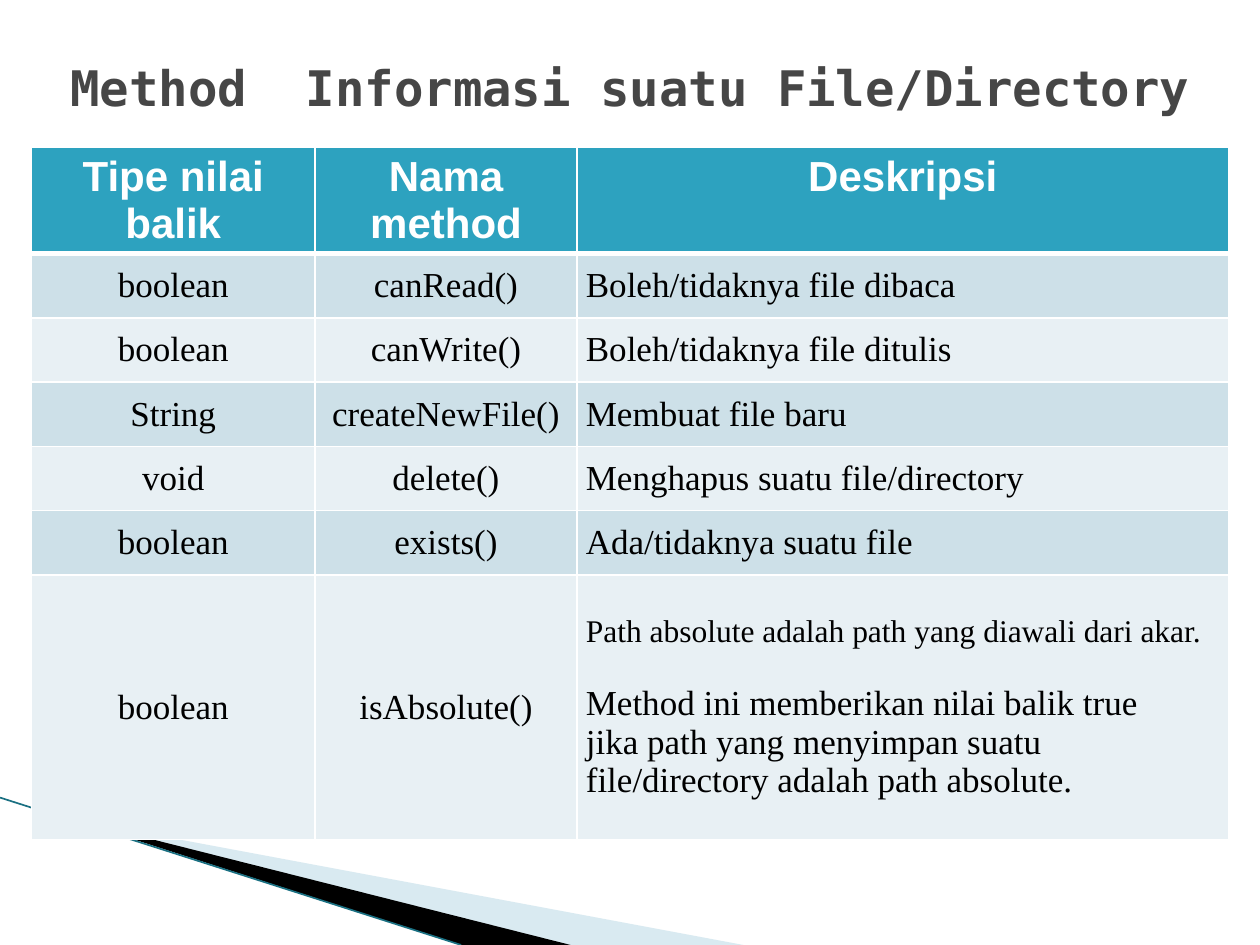
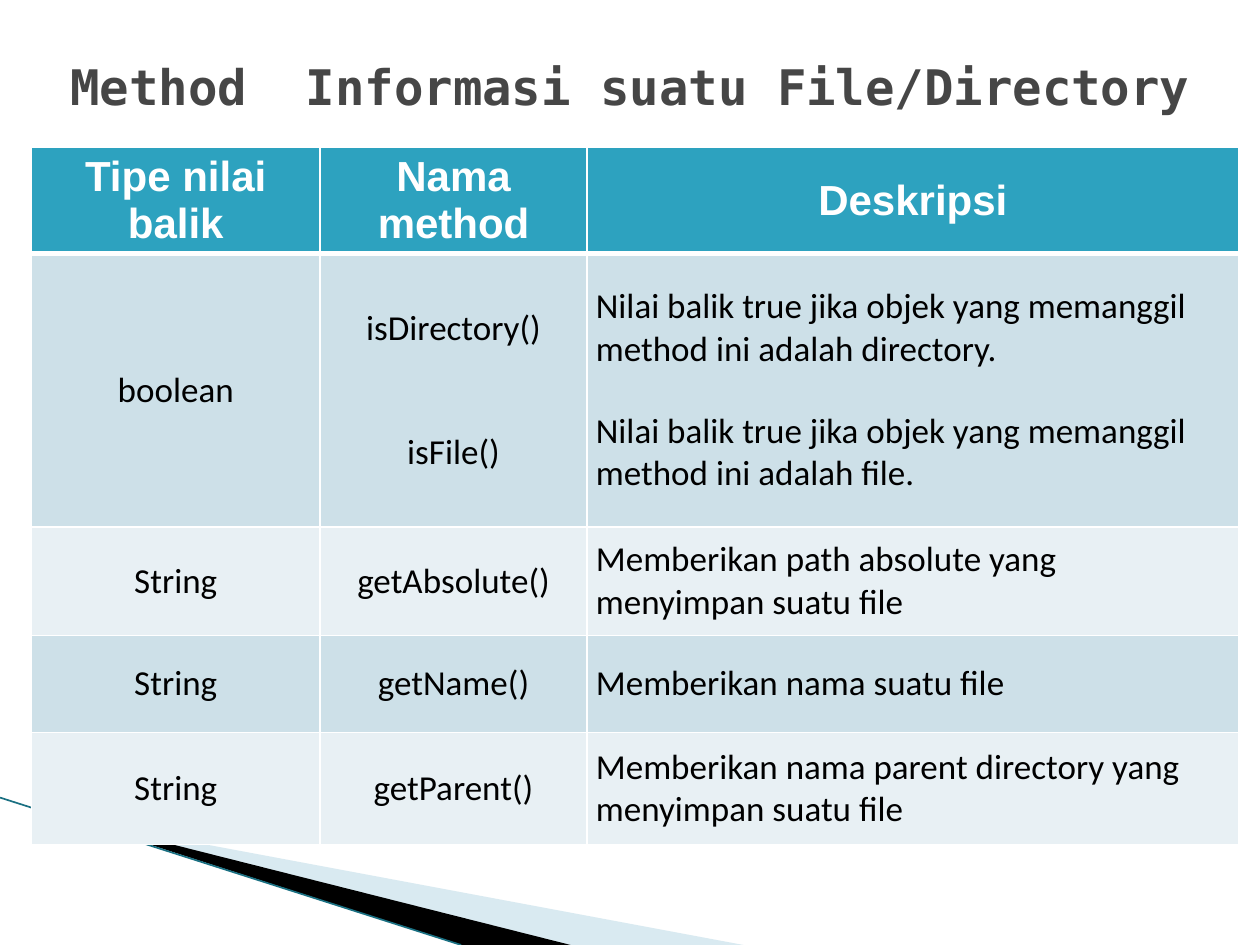
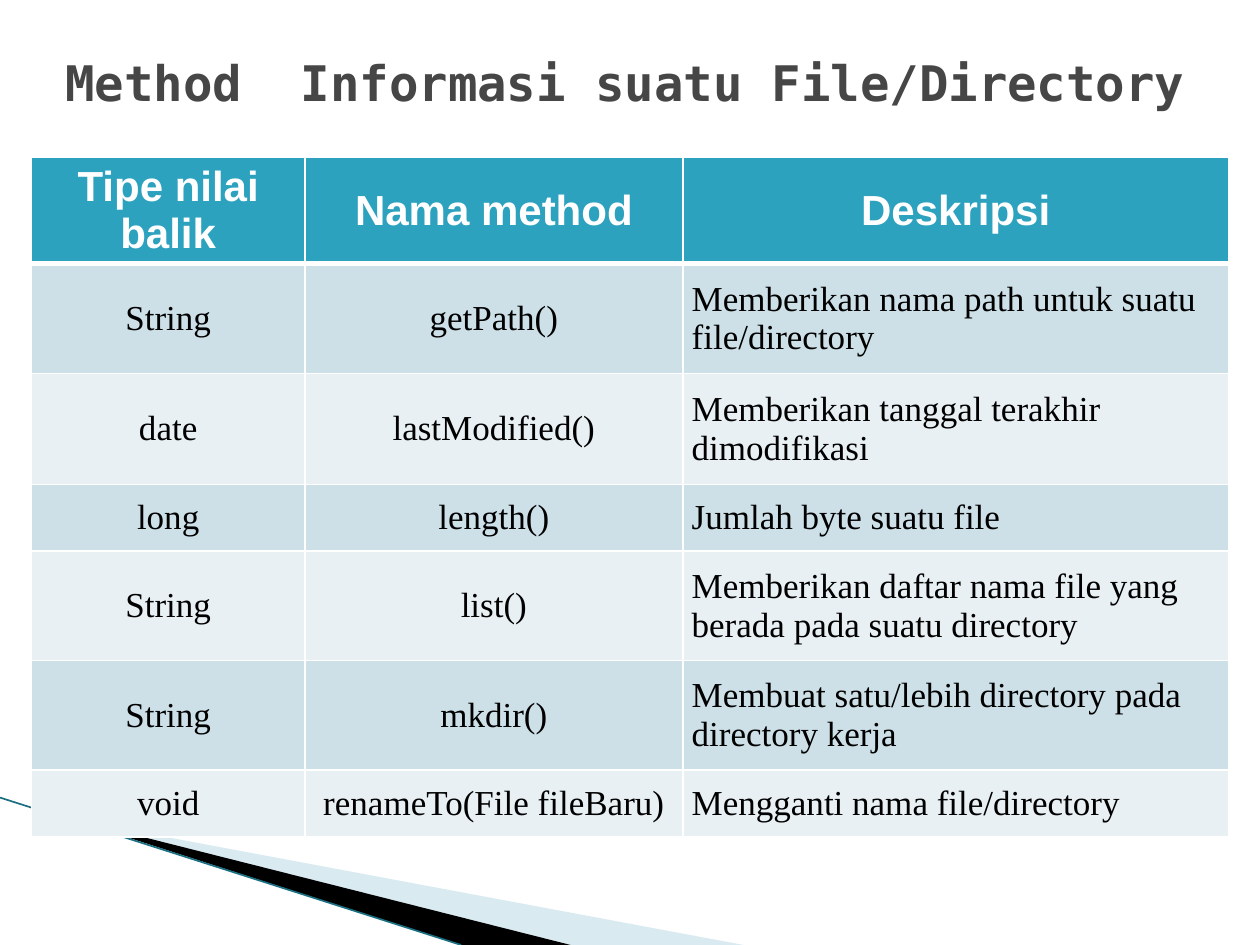
from dataclasses import dataclass

from lxml import etree
from pptx import Presentation
from pptx.dml.color import RGBColor
from pptx.enum.text import MSO_ANCHOR, MSO_AUTO_SIZE, PP_ALIGN
from pptx.enum.shapes import MSO_CONNECTOR
from pptx.oxml import parse_xml
from pptx.oxml.ns import nsdecls, qn
from pptx.util import Inches, Pt


@dataclass(frozen=True)
class Theme:
    title: str = "464646"
    header: str = "2DA2BF"
    white: str = "FFFFFF"
    black: str = "000000"
    stripes: tuple = ("CDE0E8", "E8F0F4")
    pale_band: str = "A0CBDC"
    band_line: str = "1A7082"
    title_font: str = "DejaVu Sans Mono"
    header_font: str = "Arial"
    title_size: int = 28
    header_size: int = 24
    body_size: int = 20
    note_size: int = 18


T = Theme()
TITLE = "Method  Informasi suatu File/Directory"
HEADINGS = ("Tipe nilai balik", "Nama method", "Deskripsi")

# A cell is one text or a list of (text, size, space before) paragraphs.
SLIDES = [
    dict(
        title_box=(0.25, 0.3, 9.5, 0.78), top=1.17, font="Times New Roman",
        header_anchor=MSO_ANCHOR.TOP,
        cols=(2.25, 2.08, 5.17), heights=[0.51] * 6 + [2.1],
        rows=[
            ("boolean", "canRead()", "Boleh/tidaknya file dibaca"),
            ("boolean", "canWrite()", "Boleh/tidaknya file ditulis"),
            ("String", "createNewFile()", "Membuat file baru"),
            ("void", "delete()", "Menghapus suatu file/directory"),
            ("boolean", "exists()", "Ada/tidaknya suatu file"),
            ("boolean", "isAbsolute()", [
                ("Path absolute adalah path yang diawali dari akar.", T.note_size, 0),
                ("Method ini memberikan nilai balik true", T.body_size, 20),
                ("jika path yang menyimpan suatu file/directory adalah path absolute.",
                 T.body_size, 0),
            ]),
        ]),
    dict(
        title_box=(0.25, 0.25, 9.5, 0.87), top=1.17, font="Calibri",
        header_anchor=MSO_ANCHOR.MIDDLE,
        cols=(2.29, 2.12, 5.17), heights=[0.64, 2.17, 0.86, 0.77, 0.89],
        rows=[
            ("boolean",
             [("isDirectory()", T.body_size, 0), ("isFile()", T.body_size, 46)],
             [("Nilai balik true jika objek yang memanggil method ini adalah directory.",
               T.body_size, 0),
              ("Nilai balik true jika objek yang memanggil method ini adalah file.",
               T.body_size, 22)]),
            ("String", "getAbsolute()", "Memberikan path absolute yang menyimpan suatu file"),
            ("String", "getName()", "Memberikan nama suatu file"),
            ("String", "getParent()",
             "Memberikan nama parent directory yang menyimpan suatu file"),
        ]),
    dict(
        title_box=(0.17, 0.3, 9.58, 0.7), top=1.25, font="Times New Roman",
        header_anchor=MSO_ANCHOR.MIDDLE,
        cols=(2.17, 3, 4.33), heights=[0.7, 0.87, 0.88, 0.53, 0.87, 0.87, 0.53],
        rows=[
            ("String", "getPath()", "Memberikan nama path untuk suatu file/directory"),
            ("date", "lastModified()", "Memberikan tanggal terakhir dimodifikasi"),
            ("long", "length()", "Jumlah byte suatu file"),
            ("String", "list()",
             "Memberikan daftar nama file yang berada pada suatu directory"),
            ("String", "mkdir()", "Membuat satu/lebih directory pada directory kerja"),
            ("void", "renameTo(File fileBaru)", "Mengganti nama file/directory"),
        ]),
]


def set_font(font, name, size, color, bold=False):
    font.name, font.size, font.bold = name, Pt(size), bold
    font.color.rgb = RGBColor.from_string(color)


def set_borders(cell, top, bottom):
    tcPr = cell._tc.get_or_add_tcPr()
    for i, (side, width) in enumerate((("L", 1), ("R", 1), ("T", top), ("B", bottom))):
        tcPr.insert(i, parse_xml(
            f'<a:ln{side} {nsdecls("a")} w="{Pt(width)}"><a:solidFill>'
            f'<a:srgbClr val="{T.white}"/></a:solidFill></a:ln{side}>'))


prs = Presentation()
prs.slide_width, prs.slide_height = Inches(10), Inches(7.5)
layout = prs.slide_layouts[5]

for n, page in enumerate(SLIDES):
    s = prs.slides.add_slide(layout)

    # Corner bands, drawn once and moved to the shared layout
    if n == 0:
        bands = []
        for color, outline in (
                (T.pale_band, [(0.55, 6.5), (5.9, 7.5), (4.52, 7.5)]),
                (T.black, [(0.53, 6.49), (4.53, 7.5), (3.66, 7.5)])):
            points = [(Inches(x), Inches(y)) for x, y in outline]
            fb = s.shapes.build_freeform(*points[0])
            fb.add_line_segments(points[1:], close=True)
            band = fb.convert_to_shape()
            band.shadow.inherit = False
            band.fill.solid()
            band.fill.fore_color.rgb = RGBColor.from_string(color)
            band.line.fill.background()
            bands.append(band)
        pale_color = next(bands[0].element.spPr.iter(qn("a:srgbClr")))
        etree.SubElement(pale_color, qn("a:alpha"), val="40000")
        edge = s.shapes.add_connector(MSO_CONNECTOR.STRAIGHT, Inches(0), Inches(6.33),
                                      Inches(3.66), Inches(7.5))
        edge.line.color.rgb = RGBColor.from_string(T.band_line)
        edge.line.width = Pt(0.95)
        etree.SubElement(edge.element.spPr, qn("a:effectLst"))
        for i, band in enumerate(bands + [edge]):
            layout.shapes.element.insert(2 + i, band.element)

    # Title
    title = s.shapes.title
    title.left, title.top, title.width, title.height = map(Inches, page["title_box"])
    tf = title.text_frame
    tf.text = TITLE
    tf.word_wrap = True
    tf.auto_size = MSO_AUTO_SIZE.NONE
    tf.vertical_anchor = MSO_ANCHOR.MIDDLE
    p = tf.paragraphs[0]
    p.alignment = PP_ALIGN.CENTER
    set_font(p.font, T.title_font, T.title_size, T.title, True)

    # Method table
    rows = [HEADINGS] + page["rows"]
    table = s.shapes.add_table(
        len(rows), len(HEADINGS), Inches(0.25), Inches(page["top"]),
        Inches(sum(page["cols"])), Inches(sum(page["heights"]))).table
    for column, width in zip(table.columns, page["cols"]):
        column.width = Inches(width)
    for r, (row, height) in enumerate(zip(rows, page["heights"])):
        table.rows[r].height = Inches(height)
        header = r == 0
        for c, content in enumerate(row):
            cell = table.cell(r, c)
            set_borders(cell, top=3 if r == 1 else 1, bottom=3 if header else 1)
            cell.fill.solid()
            cell.fill.fore_color.rgb = RGBColor.from_string(
                T.header if header else T.stripes[(r - 1) % 2])
            cell.vertical_anchor = page["header_anchor"] if header else MSO_ANCHOR.MIDDLE
            if not header:
                cell.margin_left = cell.margin_right = Inches(0.07)
                cell.margin_top = cell.margin_bottom = 0
            if isinstance(content, str):
                content = [(content, T.header_size if header else T.body_size, 0)]
            tf = cell.text_frame
            for i, (text, size, gap) in enumerate(content):
                p = tf.add_paragraph() if i else tf.paragraphs[0]
                p.text = text
                p.alignment = PP_ALIGN.CENTER if header or c < 2 else PP_ALIGN.LEFT
                if gap:
                    p.space_before = Pt(gap)
                set_font(p.font, T.header_font if header else page["font"], size,
                         T.white if header else T.black, header)

prs.save("out.pptx")
